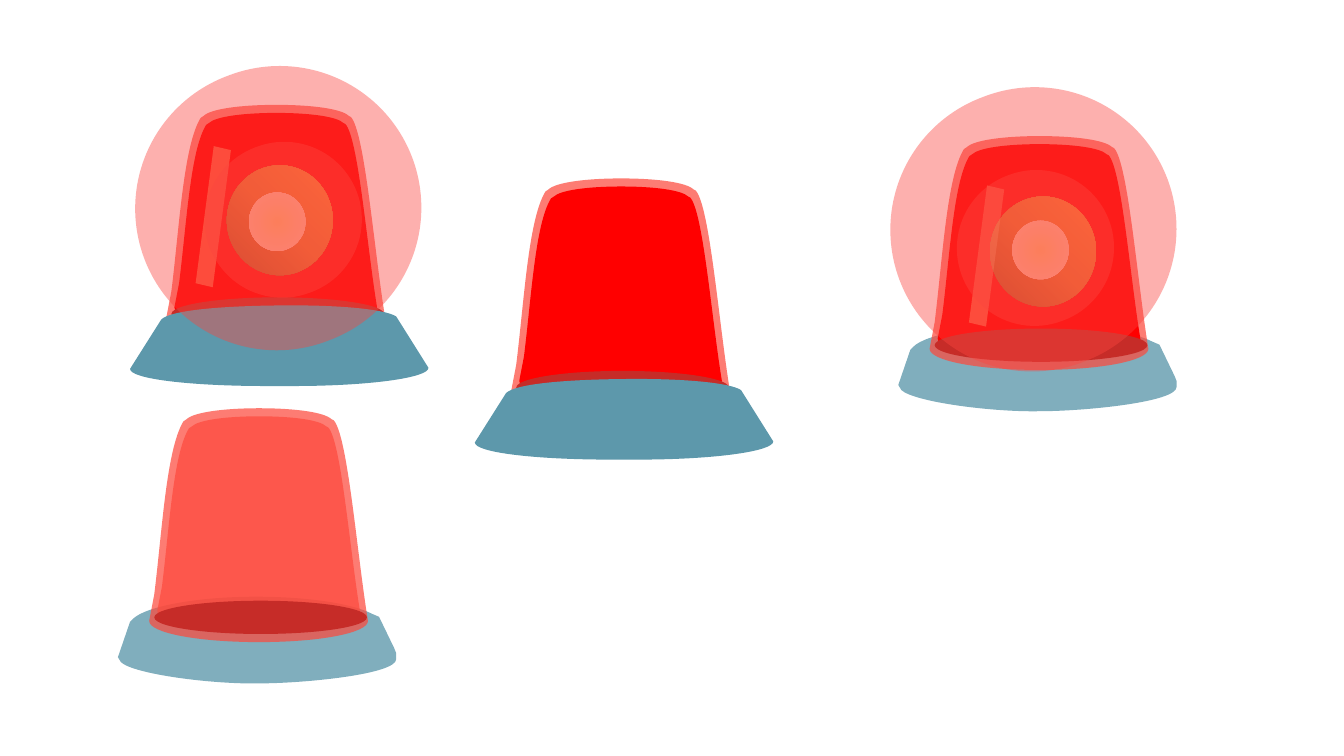
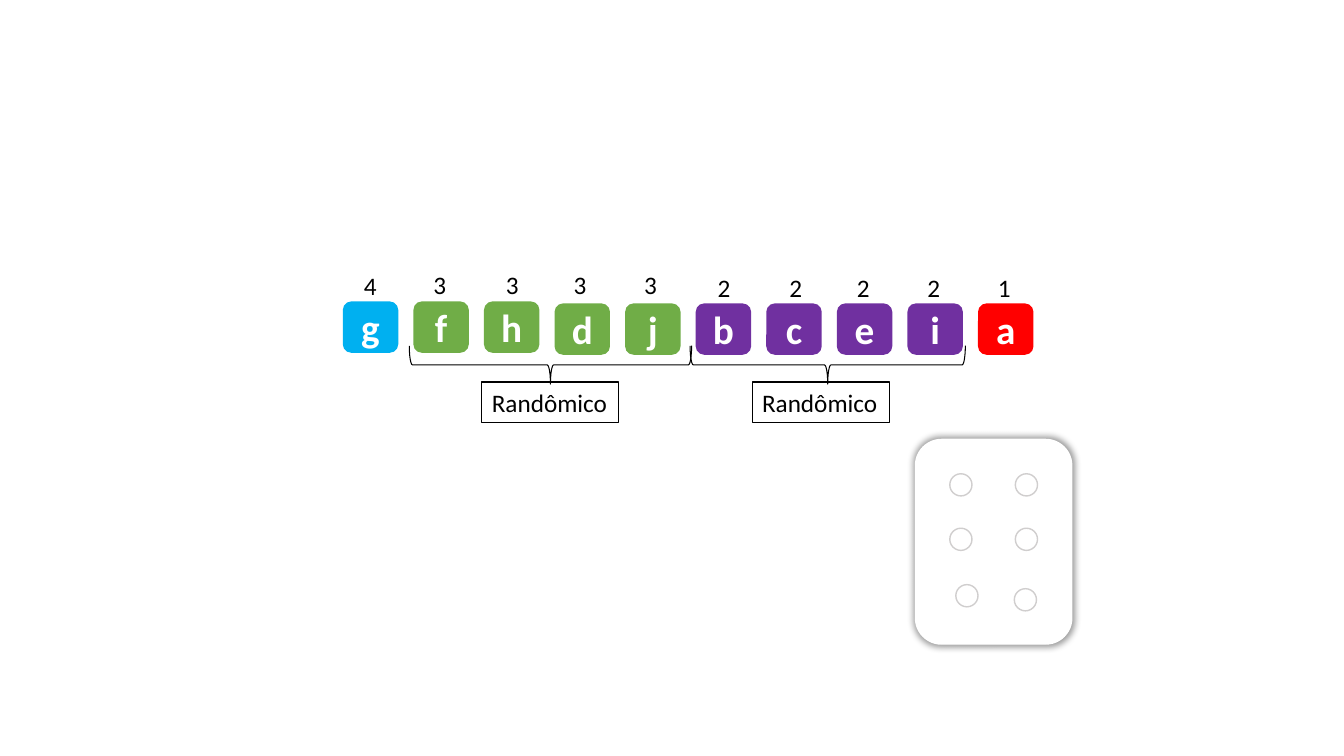
"""Build two slides: warning lamps, and a priority queue with a die."""
import dataclasses

import pptx
import pptx.dml.color
import pptx.enum.shapes
import pptx.enum.text
import pptx.oxml
import pptx.oxml.ns
import pptx.util

SHAPES = pptx.enum.shapes.MSO_SHAPE
TEXT = pptx.enum.text


@dataclasses.dataclass(frozen=True)
class Theme:
    font: str = "Calibri"
    letter_size: int = 28
    label_size: int = 18
    ink: str = "000000"
    paper: str = "FFFFFF"
    red: str = "FF0000"
    glass: str = "FD4A3D"
    rim: str = "C62C28"
    skirt: str = "5D98AB"
    tray: str = "80AEBD"
    glint: str = "FFF3AC"
    halo: str = "FC453F"
    pip: str = "D0CECE"
    bulb: tuple = ("9B5F1E", "E08A2D", "FFA537")
    core: tuple = ("FFF194", "FFF4BC", "FFF9DE")
    levels: tuple = (("4", "00B0F0"), ("3", "70AD47"), ("2", "7030A0"), ("1", "FF0000"))


THEME = Theme()
SLIDE_SIZE = (13.33, 7.5)

DOME = [
    (1.09, 0), (1.45, 0, 1.74, .04, 1.81, .11), (1.83, .12),
    (1.97, .27, 2.06, 1.44, 2.17, 2.11),
    (2.17, 2.23, 1.69, 2.32, 1.09, 2.32), (.49, 2.32, 0, 2.23, 0, 2.11),
    (.05, 1.85), (.13, 1.21, .17, .41, .34, .13), (.37, .11),
    (.44, .04, .74, 0, 1.09, 0),
]
SKIRT = [
    (1.62, 0), (2.11, 0, 2.53, .04, 2.64, .11), (2.96, .62),
    (2.96, .72, 2.36, .8, 1.62, .8), (1.35, .8), (.6, .8, 0, .73, 0, .63),
    (.31, .14), (.4, .05, .9, 0, 1.62, 0),
]
TRAY = [
    (1.37, 0), (1.89, 0, 2.33, .07, 2.52, .17), (2.59, .2), (2.74, .51),
    (2.76, .56), (2.76, .62), (2.76, .77, 1.85, .86, 1.4, .86),
    (.94, .87, .16, .77, .03, .65), (0, .6), (.12, .25), (.15, .22),
    (.27, .1, .77, 0, 1.37, 0),
]
GLINT = [(.18, 0), (0, 1.36), (.17, 1.4), (.35, .04)]

OUTLINES = {
    "dome": (DOME, (1, 1), THEME.glass, 72),
    "glow": (DOME, (2.01 / 2.17, 2.12 / 2.32), THEME.red, 100),
    "tint": (DOME, (2.01 / 2.17, 2.12 / 2.32), THEME.glass, 72),
    "skirt": (SKIRT, (1, 1), THEME.skirt, 100),
    "tray": (TRAY, (1, 1), THEME.tray, 100),
    "glint": (GLINT, (1, 1), THEME.glint, 34),
}
ROUNDS = {
    "rim": (2.11, .33, THEME.rim),
    "bulb": (1.05, 1.09, THEME.bulb),
    "core": (.56, .58, THEME.core),
}
HALOS = {"halo": (2.84, 2.81), "inner halo": (1.56, 1.54)}
GRADIENT_PATHS = {
    "bulb": '<a:lin ang="18900000" scaled="0"/>',
    "core": '<a:path path="circle"><a:fillToRect l="50000" t="50000" r="50000" b="50000"/></a:path>',
}

OFFSETS = {
    "dome": (0, 0), "glow": (.08, .08), "tint": (.08, .08), "rim": (.05, 1.91),
    "skirt": (-.36, 1.99), "tray": (-.31, 1.87), "bulb": (.6, .6), "core": (.82, .87),
    "glint": (.29, .41), "halo": (-.31, -.38), "inner halo": (.38, .37),
}
LAMPS = [
    ((1.65, 1.04), ("dome", "glow", "rim", "skirt", "bulb", "core", "glint", "halo", "inner halo"), {}),
    ((5.07, 1.77), ("dome", "glow", "rim", "skirt"), {}),
    ((9.22, 1.35), ("tray", "dome", "glow", "rim", "bulb", "core", "glint", "inner halo", "halo"),
     {"core": (.82, .84), "glint": (.39, .49), "inner halo": (.27, .34), "halo": (-.39, -.48)}),
    ((1.48, 4.05), ("tray", "dome", "tint", "rim"), {}),
]

QUEUE_LEFT, QUEUE_PITCH = 3.4, .7
TILE = (.55, .51)
QUEUE = [
    ("g", 0, 2.99, .11), ("f", 1, 2.99, .1), ("h", 1, 2.99, .12), ("d", 1, 3.01, .09),
    ("j", 1, 3.01, .09), ("b", 2, 3.01, .12), ("c", 2, 3.01, .13), ("e", 2, 3.01, .1),
    ("i", 2, 3.01, .1), ("a", 3, 3.01, .1),
]
LEVEL_TOPS = (2.63, 2.62, 2.65, 2.65)
LEVEL_BOX = (.33, .4)
RANDOM_RUNS = [("Randômico", 5.46, 2.8, 4.78), ("Randômico", 8.21, 2.73, 7.46)]
BRACE_MIDDLE, BRACE_DEPTH = 3.62, .38
RUN_TOP, RUN_BOX = 3.79, (1.36, .4)

DIE = (9.08, 4.36, 1.55, 2.03)
PIP_SIZE = .22
PIPS = [(9.42, 4.7), (10.07, 4.7), (9.42, 5.24), (10.07, 5.24), (9.48, 5.8), (10.06, 5.84)]


def rgb(code):
    return pptx.dml.color.RGBColor.from_string(code)


def xml(tag, body):
    return pptx.oxml.parse_xml(f'<a:{tag} {pptx.oxml.ns.nsdecls("a")}>{body}</a:{tag}>')


def paint(shape, fill=None, line=None, weight=1, alpha=100):
    shape.shadow.inherit = False
    if fill:
        shape.fill.solid()
        shape.fill.fore_color.rgb = rgb(fill)
        if alpha < 100:
            colour = shape.element.spPr.find(pptx.oxml.ns.qn("a:solidFill"))[0]
            colour.append(pptx.oxml.parse_xml(
                f'<a:alpha {pptx.oxml.ns.nsdecls("a")} val="{alpha * 1000}"/>'))
    else:
        shape.fill.background()
    if line:
        shape.line.color.rgb = rgb(line)
        shape.line.width = pptx.util.Pt(weight)
    else:
        shape.line.fill.background()


def add(shapes, kind, left, top, width, height, **look):
    shape = shapes.add_shape(kind, *map(pptx.util.Inches, (left, top, width, height)))
    paint(shape, **look)
    return shape


def blend(shape, colours, direction):
    stops = "".join(f'<a:gs pos="{i * 50000}"><a:srgbClr val="{c}"/></a:gs>'
                    for i, c in enumerate(colours))
    solid = shape.element.spPr.find(pptx.oxml.ns.qn("a:solidFill"))
    solid.getparent().replace(solid, xml("gradFill", f"<a:gsLst>{stops}</a:gsLst>{direction}"))


def add_outline(shapes, outline, scale, left, top, fill, alpha):
    def place(x, y):
        return pptx.util.Inches(left + x * scale[0]), pptx.util.Inches(top + y * scale[1])

    ends = [place(*step[-2:]) for step in outline]
    origin_x, origin_y = (min(values) for values in zip(*ends))
    builder = shapes.build_freeform(*ends[0], scale=1.0)
    builder.add_line_segments(ends[1:], close=True)
    shape = builder.convert_to_shape()
    edges = list(shape.element.iter(pptx.oxml.ns.qn("a:lnTo")))
    for edge, step in zip(edges, outline[1:]):
        if len(step) == 6:
            controls = [place(*step[i:i + 2]) for i in (0, 2, 4)]
            body = "".join(f'<a:pt x="{x - origin_x}" y="{y - origin_y}"/>' for x, y in controls)
            edge.getparent().replace(edge, xml("cubicBezTo", body))
    paint(shape, fill, alpha=alpha)


def add_part(shapes, part, left, top):
    if part in OUTLINES:
        outline, scale, fill, alpha = OUTLINES[part]
        add_outline(shapes, outline, scale, left, top, fill, alpha)
    elif part in HALOS:
        halo = add(shapes, SHAPES.ROUNDED_RECTANGLE, left, top, *HALOS[part],
                   fill=THEME.halo, alpha=42)
        halo.adjustments[0] = .5
        halo.rotation = 339.6
    else:
        width, height, fill = ROUNDS[part]
        blended = part in GRADIENT_PATHS
        disc = add(shapes, SHAPES.OVAL, left, top, width, height,
                   fill=fill[0] if blended else fill)
        if blended:
            blend(disc, fill, GRADIENT_PATHS[part])


def write(shape, words, size, colour, bold=False, centred=False):
    frame = shape.text_frame
    frame.text = words
    frame.word_wrap = False
    paragraph = frame.paragraphs[0]
    paragraph.alignment = TEXT.PP_ALIGN.CENTER if centred else TEXT.PP_ALIGN.LEFT
    frame.vertical_anchor = TEXT.MSO_ANCHOR.MIDDLE if centred else TEXT.MSO_ANCHOR.TOP
    font = paragraph.runs[0].font
    font.name, font.size, font.bold = THEME.font, pptx.util.Pt(size), bold
    font.color.rgb = rgb(colour)


def add_label(shapes, words, left, top, size, line=None):
    label = shapes.add_textbox(*map(pptx.util.Inches, (left, top, *size)))
    write(label, words, THEME.label_size, THEME.ink)
    label.text_frame.auto_size = TEXT.MSO_AUTO_SIZE.SHAPE_TO_FIT_TEXT
    if line:
        label.line.color.rgb = rgb(line)
        label.line.width = pptx.util.Pt(.75)


def build_lamps(slide):
    for (left, top), parts, moved in LAMPS:
        lamp = slide.shapes.add_group_shape()
        for part in parts:
            dx, dy = moved.get(part, OFFSETS[part])
            add_part(lamp.shapes, part, left + dx, top + dy)


def build_queue(slide):
    shapes = slide.shapes
    for column, (letter, level, top, inset) in enumerate(QUEUE):
        left = QUEUE_LEFT + column * QUEUE_PITCH
        number, colour = THEME.levels[level]
        tile = add(shapes, SHAPES.ROUNDED_RECTANGLE, left, top, *TILE, fill=colour)
        write(tile, letter, THEME.letter_size, THEME.paper, bold=True, centred=True)
        add_label(shapes, number, left + inset, LEVEL_TOPS[level], LEVEL_BOX)
    for words, middle, span, left in RANDOM_RUNS:
        brace = add(shapes, SHAPES.LEFT_BRACE, middle - BRACE_DEPTH / 2,
                    BRACE_MIDDLE - span / 2, BRACE_DEPTH, span, line=THEME.ink, weight=.75)
        brace.rotation = 270
        add_label(shapes, words, left, RUN_TOP, RUN_BOX, line=THEME.ink)


def build_die(slide):
    die = slide.shapes.add_group_shape()
    face = add(die.shapes, SHAPES.ROUNDED_RECTANGLE, *DIE, fill=THEME.paper, line=THEME.paper)
    effects = face.element.spPr.find(pptx.oxml.ns.qn("a:effectLst"))
    effects.getparent().replace(effects, xml(
        "effectLst", '<a:outerShdw blurRad="63500" dist="0" dir="0" sx="102000" sy="102000" '
        f'algn="ctr" rotWithShape="0"><a:srgbClr val="{THEME.ink}">'
        '<a:alpha val="40000"/></a:srgbClr></a:outerShdw>'))
    for left, top in PIPS:
        add(die.shapes, SHAPES.OVAL, left, top, PIP_SIZE, PIP_SIZE,
            fill=THEME.paper, line=THEME.pip)


deck = pptx.Presentation()
deck.slide_width, deck.slide_height = map(pptx.util.Inches, SLIDE_SIZE)
blank = deck.slide_layouts[6]
build_lamps(deck.slides.add_slide(blank))
queue_slide = deck.slides.add_slide(blank)
build_queue(queue_slide)
build_die(queue_slide)
deck.save("out.pptx")
